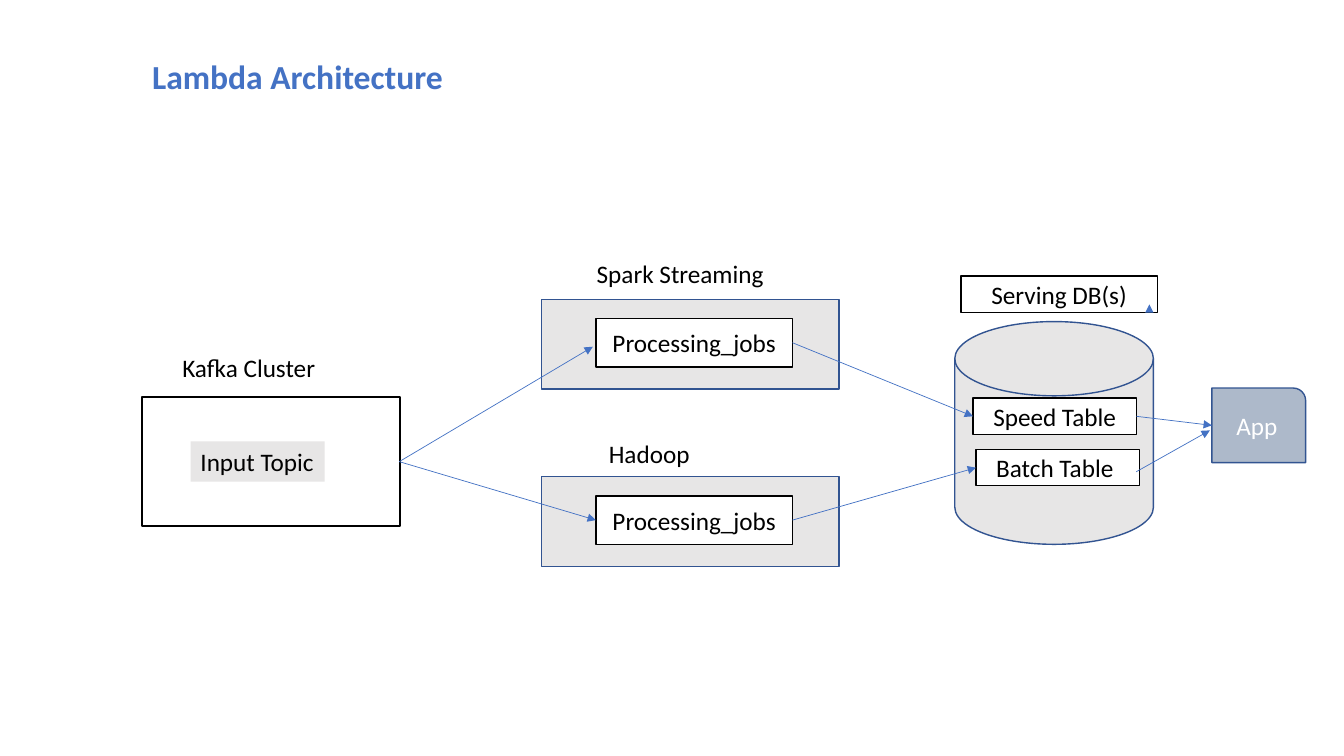
import pptx
import pptx.util
import pptx.dml.color
import pptx.enum.shapes
import pptx.enum.text
import pptx.oxml
import pptx.oxml.ns

Inches = pptx.util.Inches
Kind = pptx.enum.shapes.MSO_SHAPE
Align = pptx.enum.text.PP_ALIGN
Anchor = pptx.enum.text.MSO_ANCHOR

WHITE, BLACK, GRAY = "FFFFFF", "000000", "E7E6E6"
NAVY, BLUE, SLATE = "325491", "4472C4", "ADB9CA"


def paint(color, value):
    color.rgb = pptx.dml.color.RGBColor.from_string(value)


def write(shape, text, color=BLACK, size=18, bold=False,
          align=Align.CENTER, anchor=Anchor.MIDDLE):
    frame = shape.text_frame
    frame.word_wrap = True
    frame.vertical_anchor = anchor
    para = frame.paragraphs[0]
    para.alignment = align
    run = para.add_run()
    run.text = text
    style = {"name": "Calibri", "size": pptx.util.Pt(size), "bold": bold}
    for key, value in style.items():
        setattr(run.font, key, value)
    paint(run.font.color, color)


def add_box(slide, place, fill=WHITE, line=BLACK, kind=Kind.RECTANGLE,
            text=None, **style):
    box = slide.shapes.add_shape(kind, *map(Inches, place))
    box.shadow.inherit = False
    box.fill.solid()
    paint(box.fill.fore_color, fill)
    if line:
        paint(box.line.color, line)
        box.line.width = pptx.util.Pt(1)
    else:
        box.line.fill.background()
    if text:
        write(box, text, **style)


def add_label(slide, place, text, **style):
    label = slide.shapes.add_textbox(*map(Inches, place))
    write(label, text, align=Align.LEFT, anchor=Anchor.TOP, **style)


def add_arrow(slide, start, end):
    arrow = slide.shapes.add_connector(
        pptx.enum.shapes.MSO_CONNECTOR.STRAIGHT, *map(Inches, start + end))
    paint(arrow.line.color, BLUE)
    arrow.line.width = pptx.util.Pt(0.5)
    props = arrow.element.spPr
    tip = pptx.oxml.parse_xml(
        f'<a:tailEnd {pptx.oxml.ns.nsdecls("a")} type="triangle"/>')
    props.find(pptx.oxml.ns.qn("a:ln")).append(tip)
    props.append(pptx.oxml.parse_xml(
        f'<a:effectLst {pptx.oxml.ns.nsdecls("a")}/>'))


def add_engine(slide, top):
    """Draw a gray engine frame with its job box inside."""
    add_box(slide, (5.37, top, 2.95, 0.89), GRAY, NAVY)
    add_box(slide, (5.91, top + 0.19, 1.95, 0.48), text="Processing_jobs")


def main():
    deck = pptx.Presentation()
    deck.slide_width, deck.slide_height = Inches(13.33), Inches(7.5)
    slide = deck.slides.add_slide(deck.slide_layouts[6])

    add_label(slide, (1.41, 0.51, 4.08, 0.5), "Lambda Architecture",
              color=BLUE, size=24, bold=True)

    add_label(slide, (1.71, 3.45, 1.96, 0.4), "Kafka Cluster")
    add_box(slide, (1.41, 3.94, 2.56, 1.28))
    add_box(slide, (1.89, 4.38, 1.33, 0.4), GRAY, None, text="Input Topic",
            align=Align.LEFT, anchor=Anchor.TOP)

    add_label(slide, (5.82, 2.51, 1.93, 0.3), "Spark Streaming")
    add_label(slide, (5.94, 4.3, 1.74, 0.3), "Hadoop")
    for top in (2.97, 4.73):
        add_engine(slide, top)

    add_box(slide, (9.47, 3.19, 1.97, 2.21), GRAY, NAVY,
            Kind.FLOWCHART_MAGNETIC_DISK)
    add_box(slide, (9.53, 2.74, 1.95, 0.36), text="Serving DB(s)")
    add_box(slide, (9.65, 3.95, 1.62, 0.36), text="Speed Table")
    add_box(slide, (9.68, 4.46, 1.62, 0.36), text="Batch Table ")
    add_box(slide, (12.02, 3.85, 0.93, 0.74), SLATE, NAVY,
            Kind.ROUND_1_RECTANGLE, "App", color=WHITE)

    for start, end in (
        ((3.96, 4.58), (5.88, 3.44)),
        ((3.96, 4.58), (5.91, 5.16)),
        ((7.86, 3.4), (9.65, 4.13)),
        ((7.86, 5.16), (9.68, 4.64)),
        ((11.27, 4.13), (12.02, 4.22)),
        ((11.27, 4.68), (12, 4.27)),
        ((11.4, 3.03), (11.4, 3.02)),
    ):
        add_arrow(slide, start, end)

    deck.save("out.pptx")


if __name__ == "__main__":
    main()
